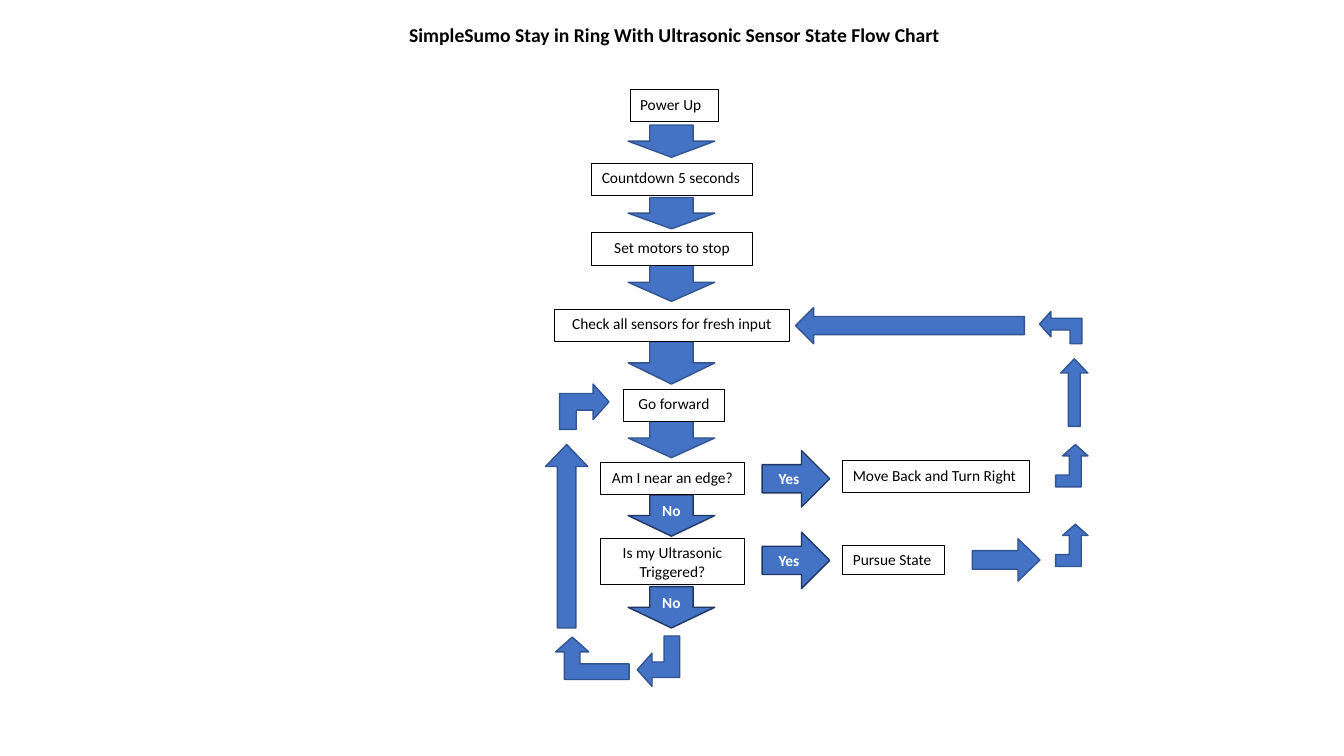
"""Build the state flow chart slide for a sumo robot that stays in the ring."""
from pptx import Presentation
from pptx.dml.color import RGBColor
from pptx.enum.shapes import MSO_SHAPE
from pptx.enum.text import MSO_ANCHOR, MSO_AUTO_SIZE, PP_ALIGN
from pptx.oxml.ns import qn
from pptx.util import Inches, Pt


def style_text(tf, text, size, color, bold, align, anchor):
    tf.text = text
    tf.vertical_anchor = anchor
    p = tf.paragraphs[0]
    p.alignment = align
    font = p.runs[0].font
    font.name, font.size, font.bold = "Calibri", Pt(size), bold
    font.color.rgb = RGBColor.from_string(color)


def add_block(s, kind, at, fill, line, width, rot=0, flip="", adj=()):
    sp = s.shapes.add_shape(kind, *[Inches(v) for v in at])
    sp.shadow.inherit = False
    sp.fill.solid()
    sp.fill.fore_color.rgb = RGBColor.from_string(fill)
    sp.line.color.rgb = RGBColor.from_string(line)
    sp.line.width = Pt(width)
    sp.rotation = rot
    for axis in flip:
        sp.element.spPr.find(qn("a:xfrm")).set("flip" + axis, "1")
    for i, value in enumerate(adj):
        sp.adjustments[i] = value
    sp.text_frame.word_wrap = True
    return sp


BLUE, EDGE, DARK_EDGE = "4472C4", "325491", "1F3763"
DOWN, RIGHT, BENT = MSO_SHAPE.DOWN_ARROW, MSO_SHAPE.RIGHT_ARROW, MSO_SHAPE.BENT_UP_ARROW
SLIM, BEND = (0.439, 0.519), (0.367, 0.392, 0.35)
LEFT, CENTER = PP_ALIGN.LEFT, PP_ALIGN.CENTER

prs = Presentation()
prs.slide_width, prs.slide_height = Inches(13.33), Inches(7.5)
s = prs.slides.add_slide(prs.slide_layouts[5])

title = s.shapes.title
title.left, title.top = Inches(3.94), Inches(0.18)
title.width, title.height = Inches(5.5), Inches(0.64)
tf = title.text_frame
tf.auto_size = MSO_AUTO_SIZE.NONE
tf.word_wrap = False
style_text(tf, "SimpleSumo Stay in Ring With Ultrasonic Sensor State Flow Chart",
           14, "000000", True, CENTER, MSO_ANCHOR.TOP)

for top, height in [(1.24, 0.32), (1.96, 0.31), (2.61, 0.38), (3.39, 0.42), (4.15, 0.39)]:
    add_block(s, DOWN, (6.23, top, 0.86, height), BLUE, EDGE, 1)

answers = [
    (DOWN, "No", (6.23, 4.91, 0.86, 0.41)),
    (DOWN, "No", (6.23, 5.82, 0.86, 0.41)),
    (RIGHT, "Yes", (7.56, 4.47, 0.67, 0.56)),
    (RIGHT, "Yes", (7.56, 5.28, 0.67, 0.56)),
]
for kind, text, at in answers:
    sp = add_block(s, kind, at, BLUE, DARK_EDGE, 1)
    style_text(sp.text_frame, text, 11, "FFFFFF", True, CENTER, MSO_ANCHOR.MIDDLE)

loop_arrows = [
    (BENT, (6.28, 6.35, 0.5, 0.42), 90, "V", BEND),
    (BENT, (5.51, 6.32, 0.73, 0.42), 180, "V", BEND),
    (DOWN, (5.41, 4.41, 0.42, 1.82), 180, "", SLIM),
    (BENT, (5.57, 3.79, 0.45, 0.49), 90, "H", BEND),
    (DOWN, (9.77, 5.22, 0.42, 0.67), 270, "", SLIM),
    (BENT, (10.47, 5.2, 0.32, 0.42), 180, "HV", BEND),
    (BENT, (10.47, 4.41, 0.32, 0.42), 180, "HV", BEND),
    (DOWN, (10.52, 3.56, 0.27, 0.67), 180, "", SLIM),
    (BENT, (10.36, 3.04, 0.32, 0.42), 90, "HV", BEND),
    (RIGHT, (7.89, 3.05, 2.27, 0.36), 180, "", ()),
]
for kind, at, rot, flip, adj in loop_arrows:
    add_block(s, kind, at, BLUE, EDGE, 1, rot, flip, adj)

states = [
    ("Power Up", (6.25, 0.89, 0.88, 0.32), LEFT),
    ("Countdown 5 seconds", (5.87, 1.62, 1.59, 0.32), LEFT),
    ("Set motors to stop", (5.87, 2.31, 1.59, 0.32), CENTER),
    ("Check all sensors for fresh input", (5.5, 3.07, 2.33, 0.32), CENTER),
    ("Go forward", (6.18, 3.86, 1.01, 0.32), CENTER),
    ("Am I near an edge?", (5.96, 4.59, 1.42, 0.32), CENTER),
    ("Is my Ultrasonic Triggered?", (5.96, 5.34, 1.42, 0.46), CENTER),
    ("Move Back and Turn Right", (8.36, 4.57, 1.85, 0.32), LEFT),
    ("Pursue State", (8.36, 5.41, 1.01, 0.29), LEFT),
]
for text, at, align in states:
    sp = add_block(s, MSO_SHAPE.RECTANGLE, at, "FFFFFF", "000000", 0.75)
    style_text(sp.text_frame, text, 11, "000000", False, align, MSO_ANCHOR.TOP)

prs.save("out.pptx")
